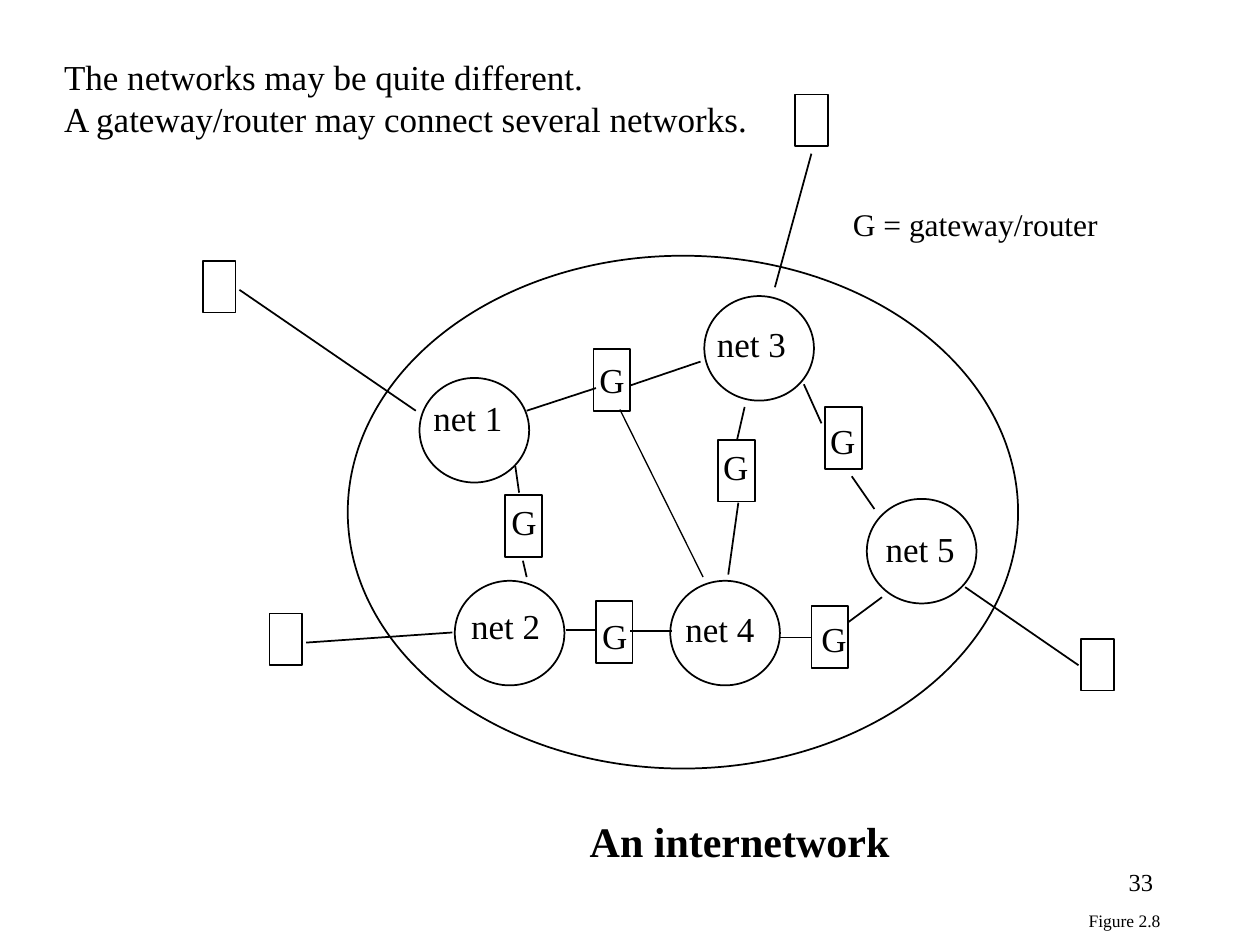
from lxml.etree import SubElement
from pptx import Presentation
from pptx.dml.color import RGBColor
from pptx.enum.shapes import MSO_CONNECTOR, MSO_SHAPE
from pptx.enum.text import MSO_ANCHOR, MSO_AUTO_SIZE, PP_ALIGN
from pptx.oxml.ns import qn
from pptx.util import Inches, Pt

FONT = "Times New Roman"
BLACK = "000000"
LINE_WIDTH = 1
THIN_WIDTH = 0.75

CLOUD = (1.26, 1.53, 5.32, 4.07)
HOST_SIZE = (0.26, 0.41)
NET_SIZE = (0.87, 0.83)
GATEWAY_SIZE = (0.29, 0.49)
NET_LABEL_SIZE = (0.75, 0.43)
GATEWAY_LABEL_SIZE = (0.4, 0.43)

# Positions inside the diagram box, in inches.
HOSTS = [(0.11, 1.57), (0.64, 4.37), (4.81, 0.25), (7.08, 4.57)]
# Each node: outline position, label position.
NETS = {
    "net 1": ((1.83, 2.5), (1.84, 2.6)),
    "net 2": ((2.11, 4.11), (2.14, 4.25)),
    "net 3": ((4.09, 1.85), (4.09, 2.01)),
    "net 4": ((3.82, 4.11), (3.84, 4.27)),
    "net 5": ((5.38, 3.46), (5.43, 3.64)),
}
GATEWAYS = [
    ((3.21, 2.27), (3.16, 2.3)),
    ((5.05, 2.73), (4.99, 2.78)),
    ((4.94, 4.31), (4.92, 4.35)),
    ((4.2, 2.99), (4.14, 2.99)),
    ((2.51, 3.43), (2.46, 3.42)),
    ((3.23, 4.27), (3.18, 4.33)),
]
HOST_LINKS = [
    (0.4, 1.8, 1.8, 2.76),
    (0.93, 4.6, 2.09, 4.52),
    (4.94, 0.72, 4.65, 1.78),
    (6.16, 4.16, 7.06, 4.78),
]
GATEWAY_LINKS = [
    (2.68, 2.76, 3.23, 2.58),
    (3.5, 2.56, 4.06, 2.37),
    (4.88, 2.55, 5.02, 2.86),
    (5.26, 3.28, 5.44, 3.54),
    (5.5, 4.24, 5.23, 4.44),
    (4.94, 4.56, 4.68, 4.56),
    (4.41, 2.73, 4.35, 2.99),
    (4.36, 3.49, 4.28, 4.06),
    (2.59, 3.2, 2.62, 3.41),
    (2.65, 3.95, 2.68, 4.08),
    (2.99, 4.5, 3.24, 4.5),
    (3.5, 4.51, 3.83, 4.51),
]
THIN_LINK = (3.42, 2.75, 4.08, 4.08)


def color(hex_string):
    """Turn a hex string into a colour."""
    return RGBColor.from_string(hex_string)


def write_text(shape, text, size=20, bold=False, align=PP_ALIGN.LEFT,
               anchor=MSO_ANCHOR.TOP, wrap=False):
    """Fill a shape with text, one paragraph per line, and format it."""
    frame = shape.text_frame
    frame.text = text
    frame.auto_size = MSO_AUTO_SIZE.NONE
    frame.word_wrap = wrap
    frame.vertical_anchor = anchor
    for paragraph in frame.paragraphs:
        paragraph.alignment = align
        font = paragraph.runs[0].font
        font.name = FONT
        font.size = Pt(size)
        font.bold = bold
        font.color.rgb = color(BLACK)


def add_label(slide, box, text, **text_format):
    """Add a text box at (left, top, width, height)."""
    label = slide.shapes.add_textbox(*map(Inches, box))
    write_text(label, text, **text_format)


def add_outline(slide, preset, box):
    """Add an unfilled preset shape with a black outline."""
    shape = slide.shapes.add_shape(preset, *map(Inches, box))
    shape.shadow.inherit = False
    shape.fill.background()
    shape.line.color.rgb = color(BLACK)
    shape.line.width = Pt(LINE_WIDTH)


def add_link(slide, ends, width=LINE_WIDTH):
    """Add a straight line between two points."""
    link = slide.shapes.add_connector(MSO_CONNECTOR.STRAIGHT, *map(Inches, ends))
    link.line.color.rgb = color(BLACK)
    link.line.width = Pt(width)
    SubElement(link._element.spPr, qn("a:effectLst"))


def build_diagram(slide, left, top):
    """Draw the internetwork with its top left corner at the given point."""
    def place(position, size):
        return (left + position[0], top + position[1], *size)

    def ends(link):
        return (left + link[0], top + link[1], left + link[2], top + link[3])

    add_outline(slide, MSO_SHAPE.OVAL, place(CLOUD[:2], CLOUD[2:]))
    for host in HOSTS:
        add_outline(slide, MSO_SHAPE.RECTANGLE, place(host, HOST_SIZE))
    for net, (position, label_position) in NETS.items():
        add_outline(slide, MSO_SHAPE.OVAL, place(position, NET_SIZE))
        add_label(slide, place(label_position, NET_LABEL_SIZE), net)
    for position, label_position in GATEWAYS:
        add_label(slide, place(label_position, GATEWAY_LABEL_SIZE), "G")
        add_outline(slide, MSO_SHAPE.RECTANGLE, place(position, GATEWAY_SIZE))
    for link in HOST_LINKS + GATEWAY_LINKS:
        add_link(slide, ends(link))
    add_link(slide, ends(THIN_LINK), THIN_WIDTH)


def build_title(slide, left, top, width, height):
    """Move the title placeholder below the diagram and fill it."""
    title = slide.shapes.title
    title.left, title.top = Inches(left), Inches(top)
    title.width, title.height = Inches(width), Inches(height)
    write_text(title, "An internetwork", size=24, bold=True, wrap=True)


def build_notes(slide, left, top):
    """Write the statements above the diagram and the key beside them."""
    statements = ("The networks may be quite different.\n"
                  "A gateway/router may connect several networks.")
    add_label(slide, (left, top, 5.71, 0.77), statements)
    add_label(slide, (left + 6.26, top + 1.19, 2.71, 0.4),
              "G = gateway/router", size=18, wrap=True)


def build_footer(slide, left, top):
    """Write the page number and the figure number."""
    add_label(slide, (left, top, 2.08, 0.5), "33", size=14,
              align=PP_ALIGN.RIGHT, wrap=True)
    add_label(slide, (left + 1.37, top + 0.34, 0.77, 0.27), "Figure 2.8",
              size=10, align=PP_ALIGN.CENTER, anchor=MSO_ANCHOR.MIDDLE)


def main():
    """Build the slide and save it."""
    presentation = Presentation()
    presentation.slide_width = Inches(10)
    presentation.slide_height = Inches(7.5)
    slide = presentation.slides.add_slide(presentation.slide_layouts[5])
    build_title(slide, 4.58, 6.42, 2.58, 0.5)
    build_notes(slide, 0.41, 0.39)
    build_diagram(slide, 1.5, 0.5)
    build_footer(slide, 7.17, 6.83)
    presentation.save("out.pptx")


main()
